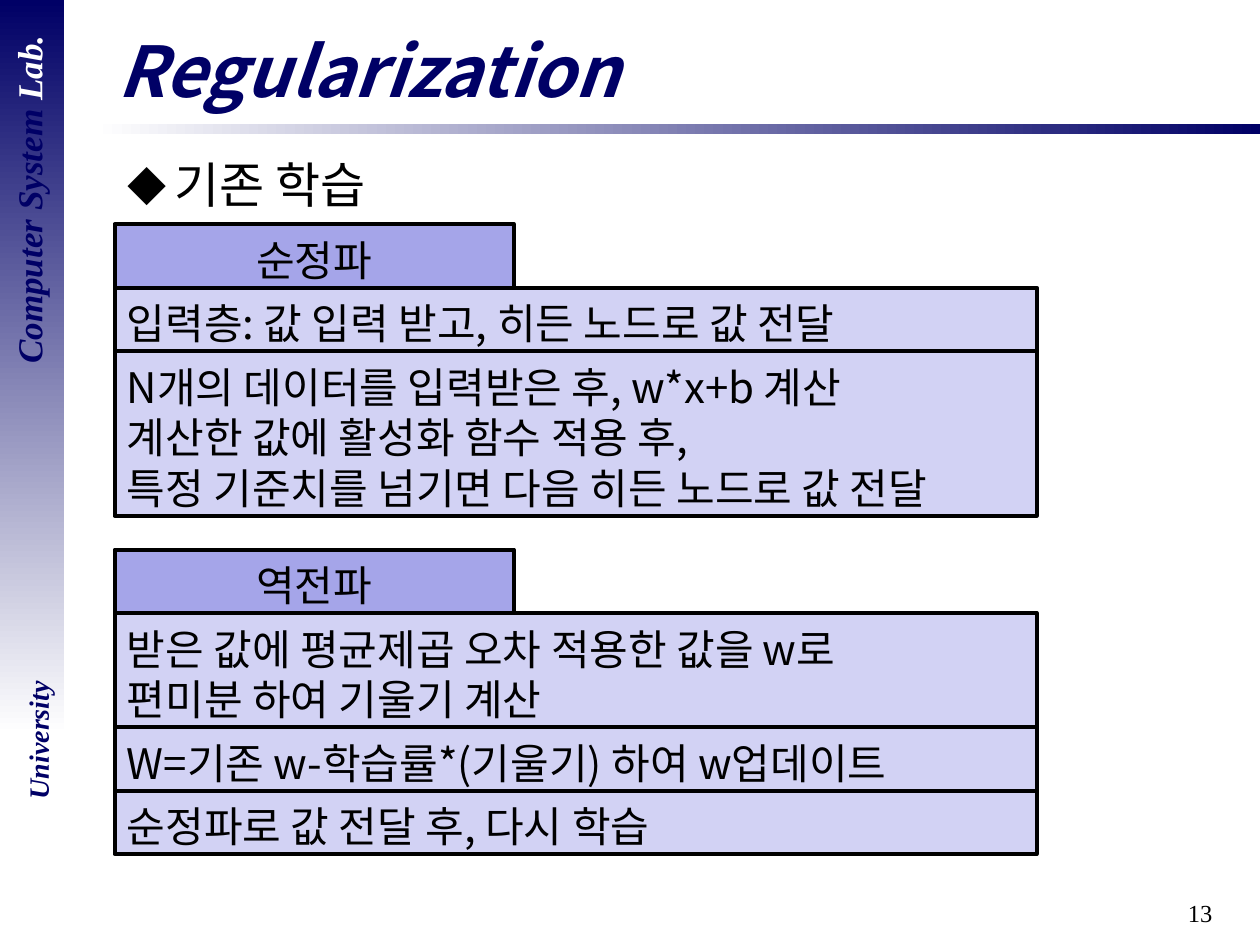
from lxml import etree
from pptx import Presentation
from pptx.dml.color import RGBColor
from pptx.enum.shapes import MSO_SHAPE
from pptx.enum.text import MSO_ANCHOR, MSO_AUTO_SIZE, PP_ALIGN
from pptx.oxml.ns import qn
from pptx.util import Cm, Pt

RECT = MSO_SHAPE.RECTANGLE
TOP, MIDDLE = MSO_ANCHOR.TOP, MSO_ANCHOR.MIDDLE
LEFT, CENTER, RIGHT = PP_ALIGN.LEFT, PP_ALIGN.CENTER, PP_ALIGN.RIGHT
NO_FIT = MSO_AUTO_SIZE.NONE

SANS, SERIF = "Noto Sans CJK KR", "Times New Roman"
NAVY, WHITE, BLACK = "000066", "FFFFFF", "000000"
HEADER_FILL, STEP_FILL = "A5A5E9", "D2D2F4"
LINE_PITCH = 1.2


def color(hex_code):
    return RGBColor.from_string(hex_code)


def write(paragraph, text, font=SANS, size=24, ink=BLACK, bold=False,
          italic=False, align=LEFT, pitch=None):
    """Add text to a paragraph; a newline becomes a line break."""
    paragraph.alignment = align
    if pitch:
        paragraph.line_spacing = Pt(size * pitch)
    for number, line in enumerate(text.split("\n")):
        if number:
            paragraph.add_line_break()
        run = paragraph.add_run()
        run.text = line
        run.font.name, run.font.size = font, Pt(size)
        run.font.bold, run.font.italic = bold, italic
        run.font.color.rgb = color(ink)
        east_asian = etree.SubElement(run.font._element, qn("a:ea"))
        east_asian.set("typeface", font)


class SlideBuilder:
    def __init__(self, slide):
        self.slide = slide

    def frame(self, shape, anchor, compact=False):
        frame = shape.text_frame
        frame.word_wrap, frame.auto_size = True, NO_FIT
        frame.vertical_anchor = anchor
        if compact:  # tight line pitch needs a lower first baseline
            frame.margin_top, frame.margin_bottom = Pt(5.6), Pt(1.6)
        return frame

    def place(self, shape, box):
        shape.left, shape.top, shape.width, shape.height = map(Cm, box)

    def title(self, text, box):
        title = self.slide.shapes.title
        self.place(title, box)
        write(self.frame(title, MIDDLE).paragraphs[0], text, size=40,
              ink=NAVY, bold=True, italic=True)

    def bullet(self, text, box):
        body = self.slide.placeholders[1]
        self.place(body, box)
        paragraph = self.frame(body, TOP, compact=True).paragraphs[0]
        paragraph.space_before = Pt(0)
        write(paragraph, text, size=28, pitch=LINE_PITCH)
        properties = paragraph._p.get_or_add_pPr()
        properties.set("marL", str(Cm(0.95)))
        properties.set("indent", str(Cm(-0.95)))
        etree.SubElement(properties, qn("a:buSzPct")).set("val", "80000")
        etree.SubElement(properties, qn("a:buFont")).set("typeface", SANS)
        etree.SubElement(properties, qn("a:buChar")).set("char", "◆")

    def gradient_bar(self, box, start, end, rotation=0):
        bar = self.slide.shapes.add_shape(RECT, *map(Cm, box))
        bar.shadow.inherit = False
        bar.rotation = rotation
        bar.line.fill.background()
        bar.fill.gradient()
        bar.fill.gradient_angle = 0
        for stop, shade, position in zip(bar.fill.gradient_stops,
                                         (start, end), (0, 1)):
            stop.color.rgb, stop.position = color(shade), position

    def label(self, parts, box, rotation=0, **style):
        label = self.slide.shapes.add_textbox(*map(Cm, box))
        label.rotation = rotation
        paragraph = self.frame(label, TOP).paragraphs[0]
        for text, ink in parts:
            write(paragraph, text, font=SERIF, ink=ink, **style)

    def panel(self, paragraphs, box, fill, align=LEFT):
        panel = self.slide.shapes.add_shape(RECT, *map(Cm, box))
        panel.shadow.inherit = False
        panel.fill.solid()
        panel.fill.fore_color.rgb = color(fill)
        panel.line.color.rgb, panel.line.width = color(BLACK), Pt(2.25)
        frame = self.frame(panel, MIDDLE, compact=True)
        for number, text in enumerate(paragraphs):
            paragraph = frame.add_paragraph() if number else frame.paragraphs[0]
            write(paragraph, text, align=align, pitch=LINE_PITCH)

    def process(self, heading, steps, top):
        """Stack a narrow heading and its steps, each as tall as its lines."""
        left = 2.31
        rows = [([heading], 8.05, HEADER_FILL, CENTER)]
        rows += [(step, 18.59, STEP_FILL, LEFT) for step in steps]
        for paragraphs, width, fill, align in rows:
            lines = len("\n".join(paragraphs).split("\n"))
            height = 0.26 + 1.02 * lines
            self.panel(paragraphs, (left, top, width, height), fill, align)
            top += height


def main():
    deck = Presentation()
    deck.slide_width, deck.slide_height = Cm(25.4), Cm(19.05)
    builder = SlideBuilder(deck.slides.add_slide(deck.slide_layouts[1]))

    # Frame: title rule, sidebar and page number
    builder.gradient_bar((1.9, 2.51, 23.5, 0.2), WHITE, NAVY)
    builder.gradient_bar((-6.76, 6.76, 14.81, 1.3), NAVY, WHITE, rotation=90)
    sidebar_style = dict(rotation=270, bold=True, italic=True, align=CENTER)
    builder.label([("Computer System ", NAVY), ("Lab.", WHITE)],
                  (-3.33, 3.48, 7.8, 1.09), size=20, **sidebar_style)
    builder.label([("University", NAVY)], (-1.04, 14.45, 3.61, 0.94),
                  size=16, **sidebar_style)
    builder.label([("13", BLACK)], (19.41, 17.98, 5.28, 1.07),
                  size=14, align=RIGHT)

    # Title and topic
    builder.title("Regularization", (2.11, 0.43, 22.61, 1.96))
    builder.bullet("기존 학습", (2.31, 2.92, 22.2, 14.66))

    # Forward and backward propagation
    builder.process("순정파", [
        ["입력층: 값 입력 받고, 히든 노드로 값 전달"],
        ["N개의 데이터를 입력받은 후, w*x+b 계산",
         "계산한 값에 활성화 함수 적용 후,\n"
         "특정 기준치를 넘기면 다음 히든 노드로 값 전달"],
    ], top=4.52)
    builder.process("역전파", [
        ["받은 값에 평균제곱 오차 적용한 값을 w로", "편미분 하여 기울기 계산"],
        ["W=기존 w-학습률*(기울기) 하여 w업데이트"],
        ["순정파로 값 전달 후, 다시 학습"],
    ], top=11.08)

    deck.save("out.pptx")


if __name__ == "__main__":
    main()
